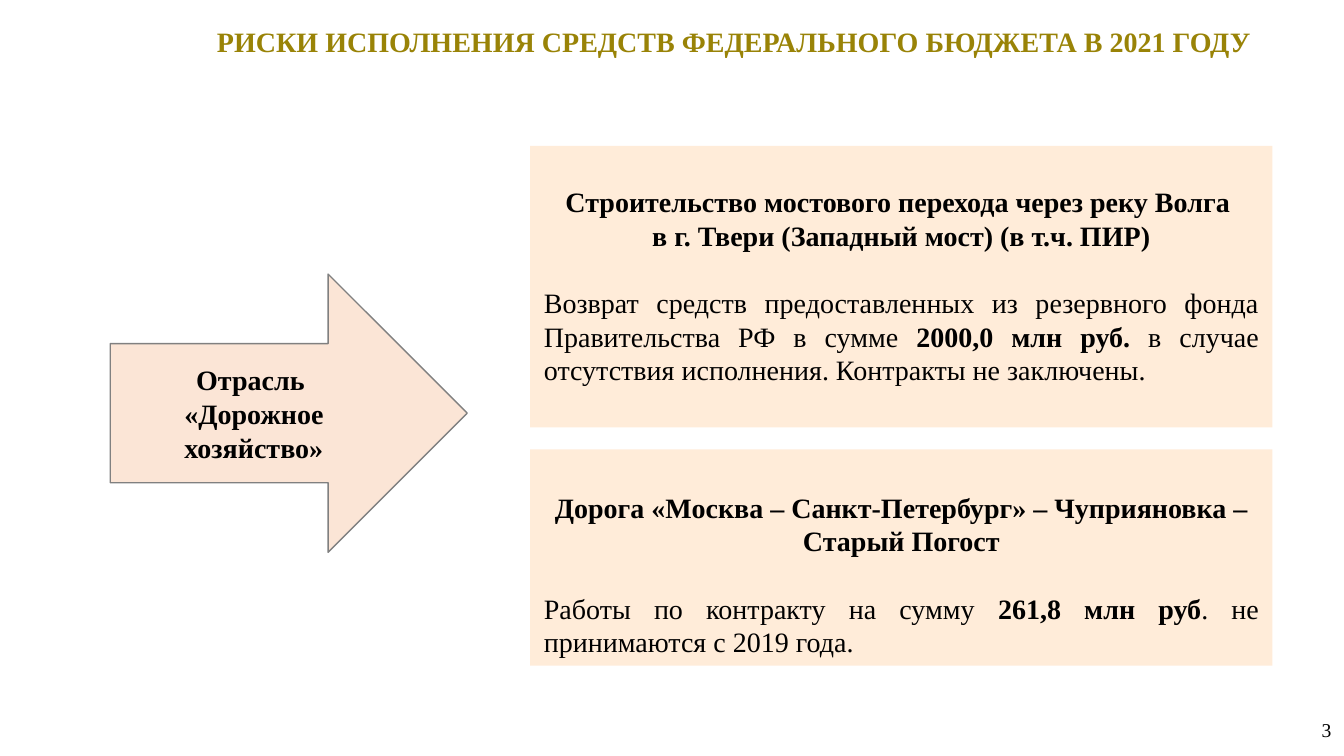
from pptx import Presentation
from pptx.dml.color import RGBColor
from pptx.enum.shapes import MSO_SHAPE as Shape
from pptx.enum.text import MSO_ANCHOR as Anchor, PP_ALIGN as Align
from pptx.util import Pt

# Content: each paragraph is (alignment, space before in pt, [(text, bold), ...])
TITLE = [(Align.CENTER, 0, [("РИСКИ ИСПОЛНЕНИЯ СРЕДСТВ ФЕДЕРАЛЬНОГО БЮДЖЕТА В 2021 ГОДУ", True)])]
SECTOR = [
    (Align.CENTER, 0, [("Отрасль ", True)]),
    (Align.CENTER, 0, [("«Дорожное хозяйство»", True)]),
]
BRIDGE = [
    (Align.CENTER, 0, [("Строительство мостового перехода через реку Волга ", True)]),
    (Align.CENTER, 0, [("в г. Твери (Западный мост) (в т.ч. ПИР)", True)]),
    (Align.JUSTIFY, 24, [
        ("Возврат средств предоставленных из резервного фонда Правительства РФ в сумме ", False),
        ("2000,0 млн руб.", True),
        (" в случае отсутствия исполнения. Контракты не заключены.", False),
    ]),
]
ROAD = [
    (Align.CENTER, 0, [("Дорога «Москва – Санкт-Петербург» – Чуприяновка – Старый Погост", True)]),
    (Align.JUSTIFY, 24, [
        ("Работы по контракту на сумму ", False),
        ("261,8 млн руб", True),
        (". не принимаются с 2019 года. ", False),
    ]),
]
PAGE_NUMBER = [(Align.RIGHT, 0, [("3", False)])]

COLORS = {"title": "998307", "text": "000000", "risk": "FFECD9", "arrow": "FBE5D6", "outline": "808080"}
FONT = "Times New Roman"
PX = 9525
RISK_LEFT, RISK_WIDTH = 505, 707
# Risk boxes: top, height, top inset, paragraphs
RISKS = [(139, 268, 37, BRIDGE), (428, 206, 39, ROAD)]


def color(name):
    return RGBColor.from_string(COLORS[name])


def box(*lengths):
    return [length * PX for length in lengths]


def write(shape, paragraphs, anchor, size=20, ink="text", insets=(10, 5, 10, 5)):
    frame = shape.text_frame
    frame.word_wrap = True
    frame.vertical_anchor = anchor
    frame.margin_left, frame.margin_top, frame.margin_right, frame.margin_bottom = box(*insets)
    for index, (alignment, space, runs) in enumerate(paragraphs):
        paragraph = frame.paragraphs[0] if index == 0 else frame.add_paragraph()
        paragraph.alignment = alignment
        paragraph.space_before = Pt(space)
        for text, bold in runs:
            run = paragraph.add_run()
            run.text = text
            run.font.name, run.font.size, run.font.bold = FONT, Pt(size), bold
            run.font.color.rgb = color(ink)


def add_block(slide, preset, place, fill):
    shape = slide.shapes.add_shape(preset, *box(*place))
    shape.shadow.inherit = False
    shape.fill.solid()
    shape.fill.fore_color.rgb = color(fill)
    shape.line.fill.background()
    return shape


def main():
    presentation = Presentation()
    presentation.slide_width, presentation.slide_height = box(1280, 720)
    slide = presentation.slides.add_slide(presentation.slide_layouts[5])

    # Title
    title = slide.shapes.title
    title.left, title.top, title.width, title.height = box(137, 18, 1124, 42)
    write(title, TITLE, Anchor.TOP, ink="title")

    # Sector arrow
    arrow = add_block(slide, Shape.RIGHT_ARROW, (105, 261, 340, 265), "arrow")
    arrow.line.color.rgb = color("outline")
    arrow.line.width = Pt(1)
    write(arrow, SECTOR, Anchor.MIDDLE)

    # Risk boxes
    for top, height, inset, paragraphs in RISKS:
        risk = add_block(slide, Shape.RECTANGLE, (RISK_LEFT, top, RISK_WIDTH, height), "risk")
        write(risk, paragraphs, Anchor.TOP, insets=(13, inset, 13, 7))

    # Page number
    number = slide.shapes.add_textbox(*box(990, 676, 288, 38))
    write(number, PAGE_NUMBER, Anchor.MIDDLE, size=14)

    presentation.save("out.pptx")


if __name__ == "__main__":
    main()
